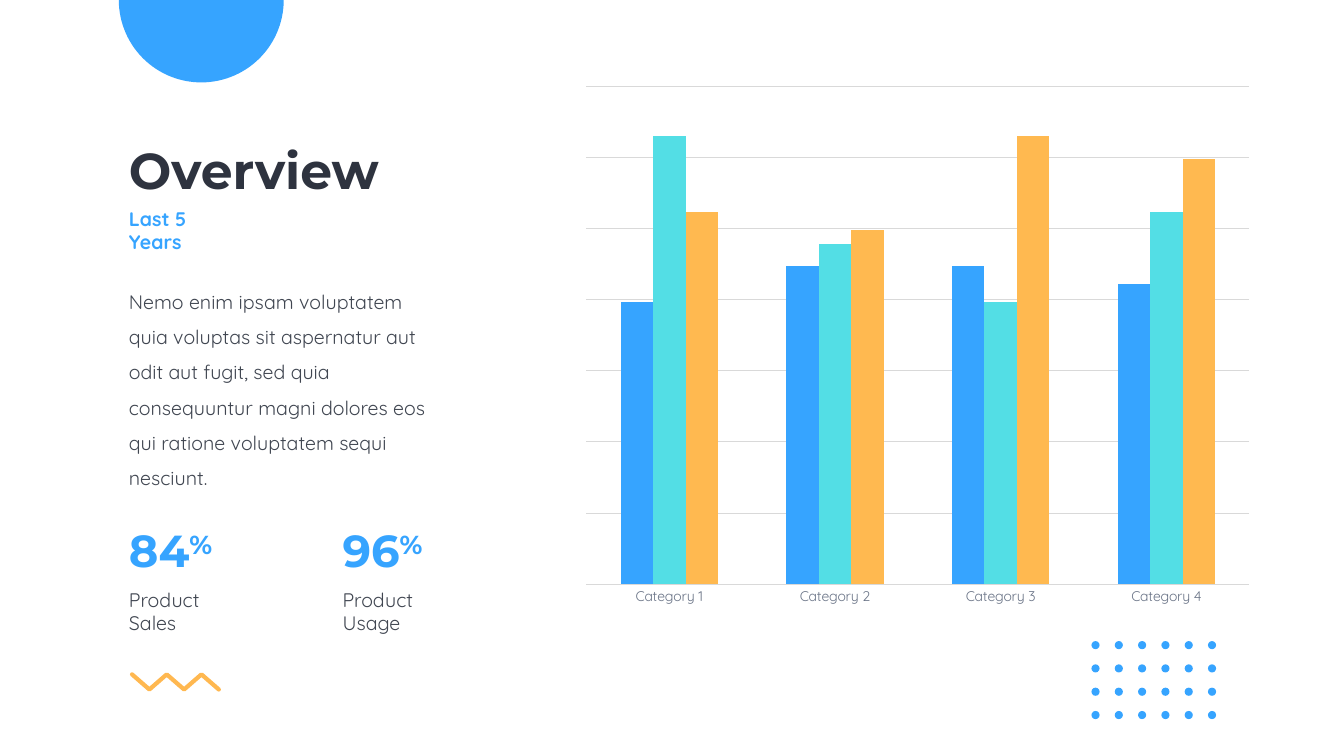
from math import cos, pi, sin

from lxml import etree
from pptx import Presentation
from pptx.chart.data import CategoryChartData
from pptx.dml.color import RGBColor
from pptx.enum.chart import XL_CHART_TYPE as ChartType, XL_TICK_MARK as TickMark
from pptx.enum.shapes import MSO_SHAPE as Preset
from pptx.enum.text import MSO_AUTO_SIZE as AutoSize
from pptx.oxml import parse_xml
from pptx.oxml.ns import nsdecls, qn
from pptx.util import Pt

COLORS = {
    "blue": "36A4FF", "teal": "53DEE5", "orange": "FFB950", "zigzag": "FFB850",
    "title": "2E333F", "body": "404651", "label": "697386", "grid": "D9D9D9",
    "black": "000000", "white": "FFFFFF",
}
HEADING_FONT, BODY_FONT = "Montserrat", "Quicksand"

TITLE = "Overview"
SUBTITLE = "Last 5 Years"
BODY = ("Nemo enim ipsam voluptatem quia voluptas sit aspernatur aut odit aut fugit, "
        "sed quia consequuntur magni dolores eos qui ratione voluptatem sequi nesciunt.")
# left, number, number width, label, label width
STATS = [
    (85, "84", 77.8, "Product Sales", 101.5),
    (237.6, "96", 75.6, "Product Usage", 108),
]
CATEGORIES = ["Category 1", "Category 2", "Category 3", "Category 4"]
SERIES = [
    ("Series 1", "blue", (63, 71, 71, 67)),
    ("Series 2", "teal", (100, 76, 63, 83)),
    ("Series 3", "orange", (83, 79, 100, 95)),
]
GRID_STEP, GRID_COUNT = 15.87, 7
LEFT = 85


def rgb(name):
    return RGBColor.from_string(COLORS[name])


def style_font(font, face, size, color, bold=False):
    font.name, font.size, font.bold = face, Pt(size), bold
    font.color.rgb = rgb(color)


def add_text(slide, box, runs, face, size, color, bold=False, spacing=None):
    """Add a one-paragraph text box and return its runs."""
    frame = slide.shapes.add_textbox(*map(Pt, box)).text_frame
    frame.word_wrap = True
    frame.auto_size = AutoSize.SHAPE_TO_FIT_TEXT
    paragraph = frame.paragraphs[0]
    paragraph.line_spacing = spacing
    for text in runs:
        run = paragraph.add_run()
        run.text = text
        style_font(run.font, face, size, color, bold)
    return paragraph.runs


def paint(shape, color):
    shape.shadow.inherit = False
    shape.fill.solid()
    shape.fill.fore_color.rgb = rgb(color)
    shape.line.fill.background()


def add_outline(slide, points, close):
    points = [(Pt(x), Pt(y)) for x, y in points]
    builder = slide.shapes.build_freeform(*points[0])
    builder.add_line_segments(points[1:], close=close)
    return builder.convert_to_shape()


def add_stats(slide):
    for left, number, number_width, label, label_width in STATS:
        percent = add_text(slide, (left, 370, number_width, 46), (number, "%"),
                           HEADING_FONT, 32, "blue", True)[1]
        percent.font._element.set("baseline", "30000")
        add_text(slide, (left, 416.2, label_width, 24.5), (label,), BODY_FONT, 14, "body")


def add_column_chart(slide):
    data = CategoryChartData()
    data.categories = CATEGORIES
    for name, _, values in SERIES:
        data.add_series(name, values)
    frame = slide.shapes.add_chart(ChartType.COLUMN_CLUSTERED, Pt(409), Pt(54),
                                   Pt(493.2), Pt(386.6), data)
    chart = frame.chart
    chart.has_legend = chart.has_title = False
    style_font(chart.font, "Calibri", 10, "black")

    plot = chart.plots[0]
    plot.vary_by_categories = False
    plot.gap_width, plot.overlap = 210, 0
    for series, (_, color, _) in zip(plot.series, SERIES):
        series.format.fill.solid()
        series.format.fill.fore_color.rgb = rgb(color)

    category_axis, value_axis = chart.category_axis, chart.value_axis
    category_axis.major_tick_mark = category_axis.minor_tick_mark = TickMark.NONE
    category_axis.format.line.fill.background()
    style_font(category_axis.tick_labels.font, BODY_FONT, 10, "label")
    value_axis.visible = False
    value_axis.minimum_scale = 0
    value_axis.maximum_scale = round(GRID_STEP * GRID_COUNT, 2)
    value_axis.major_unit = GRID_STEP
    value_axis.has_major_gridlines = True
    grid_line = value_axis.major_gridlines.format.line
    grid_line.color.rgb, grid_line.width = rgb("grid"), Pt(0.75)

    plot_area = chart._chartSpace.chart.plotArea
    for layout in plot_area.findall(qn("c:layout")):
        plot_area.remove(layout)
    plot_area.insert(0, parse_xml(
        f'<c:layout {nsdecls("c")}><c:manualLayout><c:layoutTarget val="inner"/>'
        '<c:xMode val="edge"/><c:yMode val="edge"/><c:x val="0.02"/><c:y val="0.02"/>'
        '<c:w val="0.96"/><c:h val="0.92"/></c:manualLayout></c:layout>'))


def add_half_disc(slide, center_x=143.8, radius=58.9, steps=60):
    angles = [pi * step / steps for step in range(steps + 1)]
    arc = [(center_x + radius * cos(angle), radius * sin(angle)) for angle in angles]
    paint(add_outline(slide, arc, close=True), "blue")


def add_zigzag(slide, left=94.3, top=481.7, step=12.4, height=10.8):
    points = [(left + step * index, top + height * (index % 2)) for index in range(6)]
    zigzag = add_outline(slide, points, close=False)
    zigzag.shadow.inherit = False
    zigzag.fill.background()
    zigzag.line.color.rgb, zigzag.line.width = rgb("zigzag"), Pt(3)
    line = zigzag.line._get_or_add_ln()
    line.set("cap", "rnd")
    etree.SubElement(line, qn("a:round"))


def add_dot_grid(slide, left=779.6, top=457.9, pitch=16.65, size=5.8, columns=6, rows=4):
    dots = slide.shapes.add_group_shape().shapes
    for row in range(rows):
        for column in range(columns):
            dot = dots.add_shape(Preset.OVAL, Pt(left + pitch * column),
                                 Pt(top + pitch * row), Pt(size), Pt(size))
            paint(dot, "blue")


def main():
    presentation = Presentation()
    presentation.slide_width, presentation.slide_height = Pt(960), Pt(540)
    slide = presentation.slides.add_slide(presentation.slide_layouts[6])
    slide.background.fill.solid()
    slide.background.fill.fore_color.rgb = rgb("white")

    add_text(slide, (LEFT, 95.8, 203, 51), (TITLE,), HEADING_FONT, 36, "title", True)
    add_text(slide, (LEFT, 144, 94.3, 24.5), (SUBTITLE,), BODY_FONT, 14, "blue", True)
    add_text(slide, (LEFT, 195, 237.6, 132.5), (BODY,), BODY_FONT, 14, "body", spacing=1.5)
    add_stats(slide)
    add_column_chart(slide)
    add_half_disc(slide)
    add_zigzag(slide)
    add_dot_grid(slide)
    presentation.save("out.pptx")


if __name__ == "__main__":
    main()
